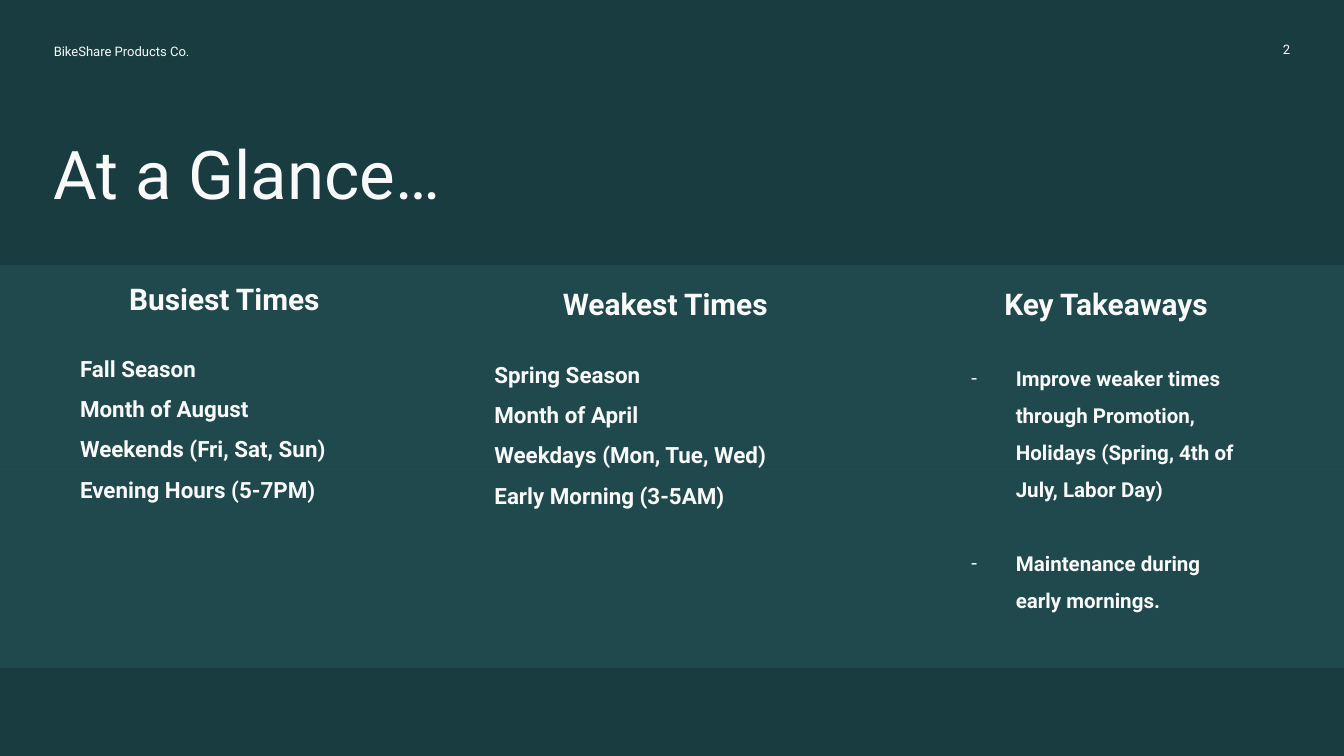
"""Build the At a Glance slide of busiest times, weakest times and takeaways."""
from lxml import etree
from pptx import Presentation
from pptx.dml.color import RGBColor
from pptx.enum.shapes import MSO_SHAPE
from pptx.enum.text import MSO_ANCHOR, PP_ALIGN
from pptx.oxml.ns import qn
from pptx.util import Pt

RECT = MSO_SHAPE.RECTANGLE
TOP, MID = MSO_ANCHOR.TOP, MSO_ANCHOR.MIDDLE
LEFT, CENTER, RIGHT = PP_ALIGN.LEFT, PP_ALIGN.CENTER, PP_ALIGN.RIGHT
DARK, TEAL, WHITE = "183C40", "20494D", "F9F9F9"


def paint(color, tone):
    color.rgb = RGBColor.from_string(tone)


def write(text, box, size, bold=False, align=LEFT, anchor=MID, inset=0,
          line=1.15, gap=0, dash=False):
    shape = slide.shapes.add_textbox(*map(Pt, box))
    frame = shape.text_frame
    frame.word_wrap = True
    frame.vertical_anchor = anchor
    frame.margin_left = frame.margin_right = Pt(inset)
    frame.margin_top = frame.margin_bottom = Pt(inset)
    for i, part in enumerate(text.split("\n")):
        para = frame.paragraphs[0] if i == 0 else frame.add_paragraph()
        para.alignment = align
        para.line_spacing = line
        if i and gap:
            para.space_before = Pt(gap)
        if dash:
            props = para._p.get_or_add_pPr()
            props.set("marL", str(Pt(36)))
            props.set("indent", str(Pt(-23.75)))
            tint = etree.SubElement(props, qn("a:buClr"))
            etree.SubElement(tint, qn("a:srgbClr"), val=WHITE)
            etree.SubElement(props, qn("a:buFont"), typeface="Roboto")
            etree.SubElement(props, qn("a:buChar"), char="-")
        run = para.add_run()
        run.text = part
        run.font.name = "Roboto"
        run.font.size = Pt(size)
        run.font.bold = bold
        paint(run.font.color, WHITE)


deck = Presentation()
deck.slide_width, deck.slide_height = Pt(720), Pt(405)
slide = deck.slides.add_slide(deck.slide_layouts[6])
back = slide.background.fill
back.solid()
paint(back.fore_color, DARK)

for row in range(2):
    for col in range(3):
        cell = slide.shapes.add_shape(
            RECT, Pt(240 * col), Pt(142 + 108 * row), Pt(240), Pt(108))
        cell.shadow.inherit = False
        cell.fill.solid()
        paint(cell.fill.fore_color, TEAL)
        cell.line.fill.background()

write("BikeShare Products Co.", (28.8, 17.3, 327.6, 18.7), 7)
write("2", (648, 17.3, 43.2, 18.7), 7, align=RIGHT, line=1)
write("At a Glance…", (28.8, 75.6, 450, 39.6), 36, anchor=TOP, line=0.9)

heads = [
    ("Busiest Times", 28.8, 151.2),
    ("Weakest Times", 265, 153.4),
    ("Key Takeaways", 501.1, 153.4),
]
for text, x, y in heads:
    write(text, (x, y, 182.9, 15.1), 16, bold=True, align=CENTER)

lists = [
    ("Fall Season\nMonth of August\nWeekends (Fri, Sat, Sun)\n"
     "Evening Hours (5-7PM)", 35.8, 175.7, 12, {}),
    ("Spring Season\nMonth of April\nWeekdays (Mon, Tue, Wed)\n"
     "Early Morning (3-5AM)", 257.8, 178.9, 12, {}),
    ("Improve weaker times through Promotion, Holidays "
     "(Spring, 4th of July, Labor Day)\nMaintenance during early mornings.",
     501.1, 182.2, 11, {"dash": True, "gap": 19.8}),
]
for text, x, y, size, more in lists:
    write(text, (x, y, 175.7, 126), size, bold=True, anchor=TOP,
          inset=7.2, line=1.5, **more)

deck.save("out.pptx")
